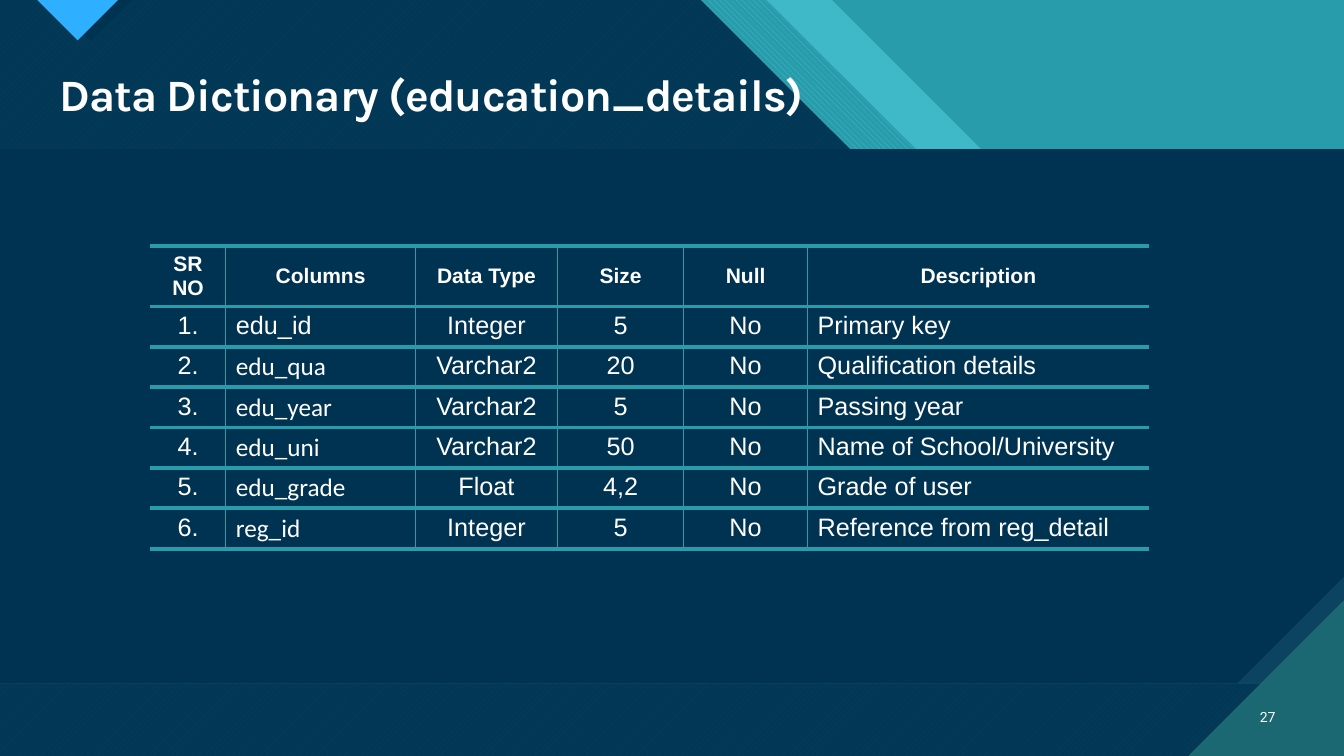
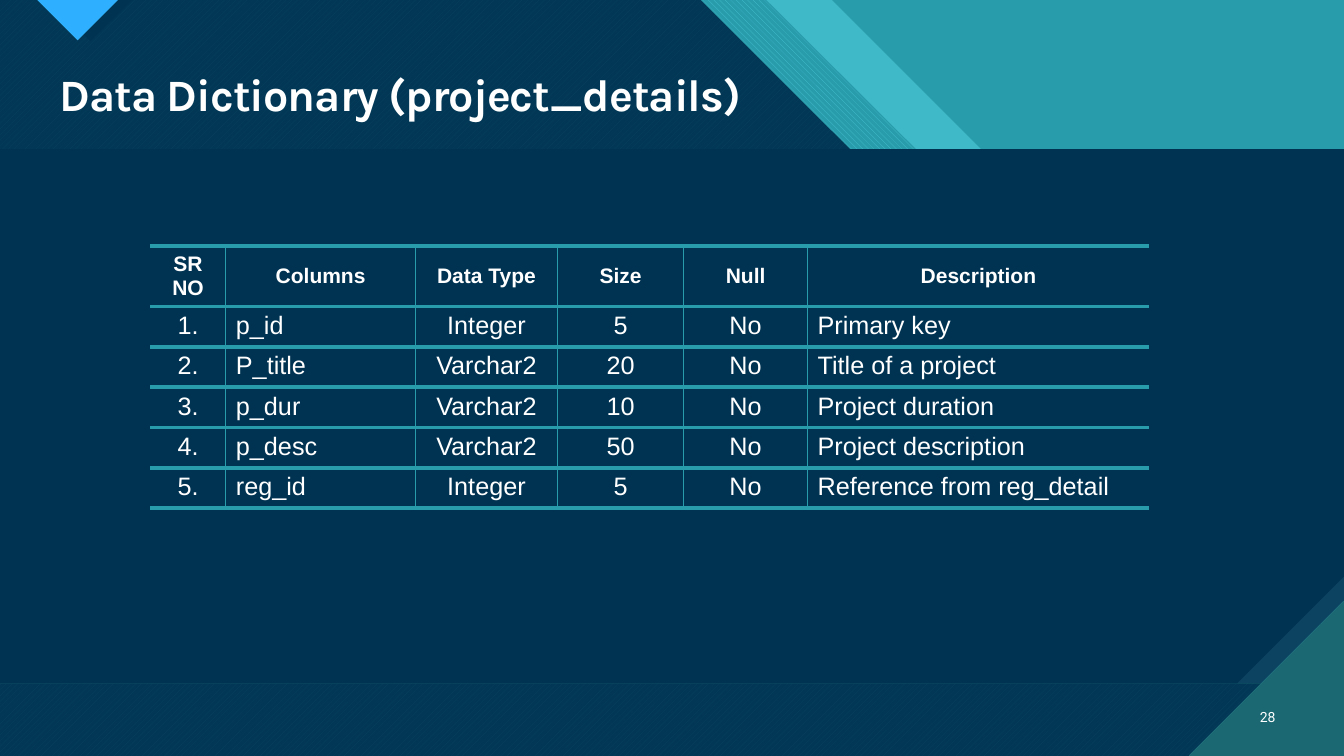
from pptx import Presentation
from pptx.dml.color import RGBColor
from pptx.enum.dml import MSO_PATTERN
from pptx.enum.shapes import MSO_SHAPE
from pptx.enum.text import MSO_ANCHOR, MSO_AUTO_SIZE, PP_ALIGN
from pptx.oxml.ns import qn
from pptx.util import Inches, Pt
from lxml.etree import SubElement

NAVY, SLATE, DEEP = "003352", "0C4360", "1B6872"
TEAL, AQUA, BLUE, WHITE = "299CAB", "47C3D3", "2FAFFF", "FFFFFF"
rgb = RGBColor.from_string


def paint(shape, fore, back=None, pattern=None, alpha=None):
    """Fill a shape plainly or with a pattern; alpha is opacity in percent."""
    shape.shadow.inherit = False
    shape.line.fill.background()
    if pattern:
        shape.fill.patterned()
        shape.fill.pattern = pattern
        shape.fill.back_color.rgb = rgb(back)
    else:
        shape.fill.solid()
    shape.fill.fore_color.rgb = rgb(fore)
    if alpha:
        tint = next(shape.element.spPr.iter(qn("a:srgbClr")))
        SubElement(tint, qn("a:alpha")).set("val", str(alpha * 1000))


def edge(cell, side, width):
    """Draw one cell border; a width of 0 hides it."""
    line = SubElement(cell._tc.get_or_add_tcPr(), qn("a:ln" + side))
    if width:
        line.set("w", str(Pt(width)))
        fill = SubElement(line, qn("a:solidFill"))
        SubElement(fill, qn("a:srgbClr")).set("val", TEAL)
    else:
        SubElement(line, qn("a:noFill"))


prs = Presentation()
prs.slide_width, prs.slide_height = Inches(13.33), Inches(7.5)
layout = prs.slide_layouts[5]
for holder in list(layout.placeholders):
    if holder.placeholder_format.idx:
        holder.element.getparent().remove(holder.element)
layout.background.fill.solid()
layout.background.fill.fore_color.rgb = rgb(TEAL)

# Shared backdrop: outline, then the paint of each freeform
BANDS = [
    ([(0, 0), (8.25, 0), (11.22, 2.97), (12.34, 2.97), (13.33, 3.96), (13.33, 7.5), (0, 7.5)],
     (AQUA, None, None, 74)),
    ([(0.66, 0), (7.6, 0), (10.58, 2.97), (11.84, 2.97), (13.33, 4.47), (13.33, 7.5), (0.66, 7.5)],
     (AQUA, TEAL, MSO_PATTERN.WIDE_DOWNWARD_DIAGONAL)),
]
NIGHT = [(0, 0), (6.95, 0), (9.92, 2.97), (11.18, 2.97), (13.33, 5.12), (13.33, 7.5), (0, 7.5)]
BANDS += [
    (NIGHT, (AQUA, DEEP, MSO_PATTERN.WIDE_UPWARD_DIAGONAL)),
    (NIGHT, (NAVY, None, None, 90)),
    ([(0.48, 0), (0.9, 0.41), (1.31, 0)], (NAVY,)),
    ([(0.37, 0), (0.77, 0.4), (1.17, 0)], (BLUE, DEEP, MSO_PATTERN.DARK_HORIZONTAL)),
]
CORNER = ([(11.79, 7.5), (13.33, 7.5), (13.33, 5.96)],
          (DEEP, AQUA, MSO_PATTERN.DARK_HORIZONTAL))

HEAD = ["SR NO", "Columns", "Data Type", "Size", "Null", "Description"]
WIDTHS = [0.75, 1.88, 1.41, 1.25, 1.23, 3.39]
PAGES = [
    ("education_details", "Calibri", [
        ("edu_id", "Integer", "5", "Primary key"),
        ("edu_qua", "Varchar2", "20", "Qualification details"),
        ("edu_year", "Varchar2", "5", "Passing year"),
        ("edu_uni", "Varchar2", "50", "Name of School/University"),
        ("edu_grade", "Float", "4,2", "Grade of user"),
        ("reg_id", "Integer", "5", "Reference from reg_detail"),
    ]),
    ("project_details", "Arial", [
        ("p_id", "Integer", "5", "Primary key"),
        ("P_title", "Varchar2", "20", "Title of a project"),
        ("p_dur", "Varchar2", "10", "Project duration"),
        ("p_desc", "Varchar2", "50", "Project description"),
        ("reg_id", "Integer", "5", "Reference from reg_detail"),
    ]),
]
slides = [prs.slides.add_slide(layout) for page in PAGES]

# Shapes are drawn on the first slide, then moved to the layout
shapes = slides[0].shapes
backdrop = []
for points, style in BANDS + [CORNER]:
    points = [(Inches(x), Inches(y)) for x, y in points]
    pen = shapes.build_freeform(*points[0])
    pen.add_line_segments(points[1:])
    band = pen.convert_to_shape()
    paint(band, *style)
    backdrop.append(band)
panel = Inches(0), Inches(1.48), Inches(13.33), Inches(5.3)
under = shapes.add_shape(MSO_SHAPE.RECTANGLE, *panel)
paint(under, SLATE, DEEP, MSO_PATTERN.DARK_VERTICAL)
front = shapes.add_shape(MSO_SHAPE.SNIP_1_RECTANGLE, *panel)
front.adjustments[0] = 0.2
front.element.spPr.find(qn("a:xfrm")).set("flipV", "1")
paint(front, NAVY)
backdrop[-1:-1] = [under, front]
tree = layout.shapes.element
for spot, shape in enumerate(backdrop, 2):
    tree.insert(spot, shape.element)

for number, (slide, (name, face, fields)) in enumerate(zip(slides, PAGES), 27):
    title = slide.shapes.title
    title.left, title.top = Inches(0.49), Inches(0.67)
    title.width, title.height = Inches(12.26), Inches(0.59)
    frame = title.text_frame
    frame.text = f"Data Dictionary ({name})"
    frame.word_wrap = True
    frame.auto_size = MSO_AUTO_SIZE.SHAPE_TO_FIT_TEXT
    para = frame.paragraphs[0]
    para.alignment, para.line_spacing = PP_ALIGN.LEFT, 0.9
    run = para.runs[0]
    run.font.name, run.font.size, run.font.bold = "Karla", Pt(32), True
    run.font.color.rgb = rgb(WHITE)
    run.font._element.set("spc", "-70")

    box = slide.shapes.add_textbox(Inches(12.31), Inches(6.91), Inches(0.44), Inches(0.4))
    frame = box.text_frame
    frame.text = str(number)
    frame.word_wrap, frame.vertical_anchor = True, MSO_ANCHOR.MIDDLE
    para = frame.paragraphs[0]
    para.alignment = PP_ALIGN.RIGHT
    font = para.runs[0].font
    font.name, font.size = "Roboto", Pt(10)
    font.color.rgb = rgb(WHITE)

    rows = [HEAD]
    for count, (field, kind, size, about) in enumerate(fields, 1):
        rows.append([f"{count}.", field, kind, size, "No", about])
    table = slide.shapes.add_table(
        len(rows), len(HEAD), Inches(1.49), Inches(2.44), Inches(9.91), Inches(2.6)).table
    table.first_row = table.horz_banding = False
    for column, width in zip(table.columns, WIDTHS):
        column.width = Inches(width)
    for r, row in enumerate(rows):
        table.rows[r].height = Inches(0.32 if r else 0.52)
        for c, text in enumerate(row):
            cell = table.cell(r, c)
            cell.text = text
            cell.vertical_anchor = MSO_ANCHOR.TOP if r else MSO_ANCHOR.MIDDLE
            para = cell.text_frame.paragraphs[0]
            left = r and c in (1, 5)
            para.alignment = PP_ALIGN.LEFT if left else PP_ALIGN.CENTER
            font = para.runs[0].font
            font.name = face if r > 1 and c == 1 else "Arial"
            font.size, font.bold = Pt(18 if r else 15), r == 0
            font.color.rgb = rgb(WHITE)
            edge(cell, "L", 1 if c else 0)
            edge(cell, "R", 1 if c < len(HEAD) - 1 else 0)
            edge(cell, "T", 3)
            edge(cell, "B", 3)
            cell.fill.background()

prs.save("out.pptx")
